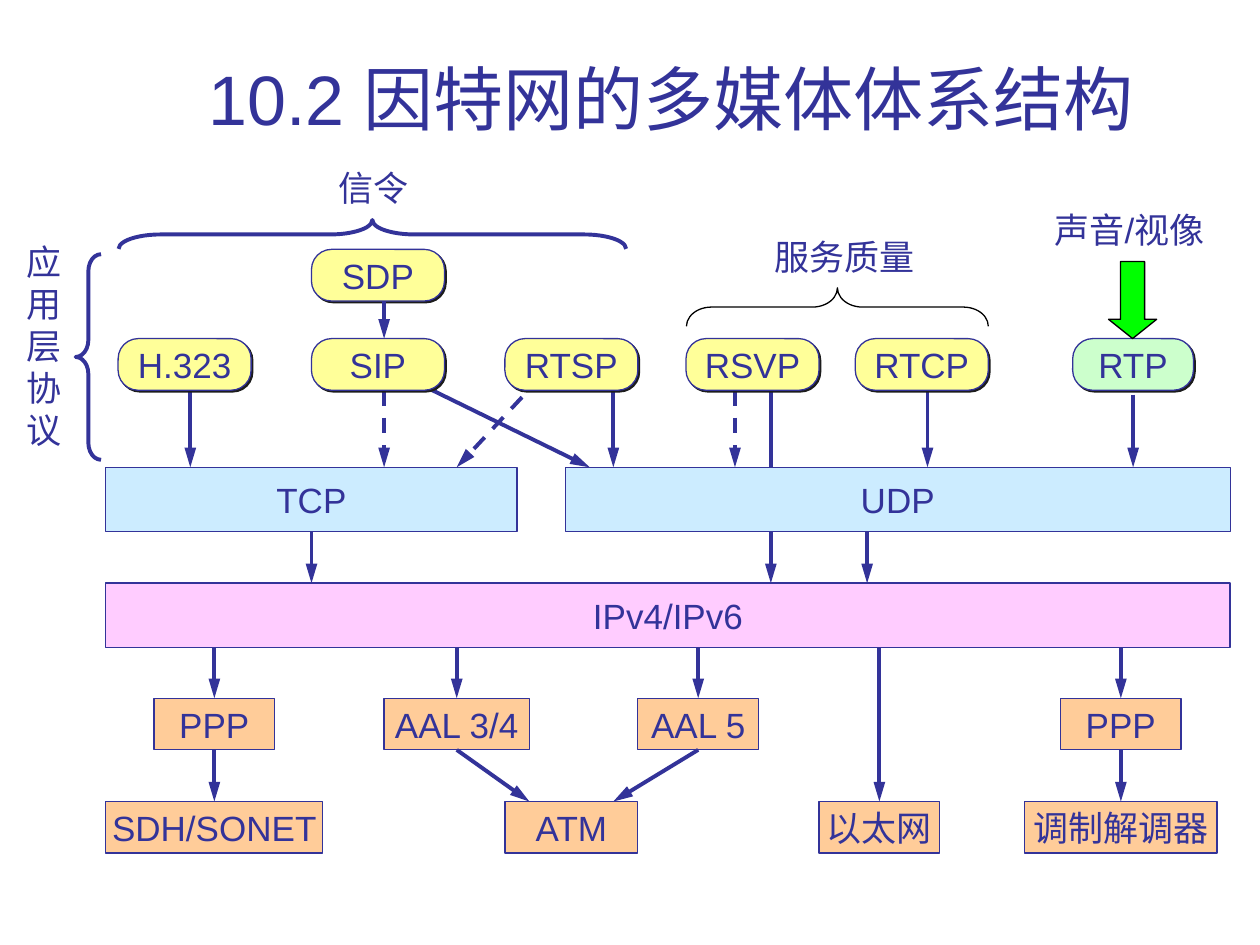
from pptx import Presentation
from pptx.dml.color import RGBColor
from pptx.enum.dml import MSO_LINE
from pptx.enum.shapes import MSO_CONNECTOR, MSO_SHAPE
from pptx.enum.text import MSO_ANCHOR, PP_ALIGN
from pptx.oxml.ns import qn
from pptx.util import Pt
from lxml import etree

RECTANGLE, ROUNDED = MSO_SHAPE.RECTANGLE, MSO_SHAPE.ROUNDED_RECTANGLE
LEFT_BRACE, DOWN_ARROW = MSO_SHAPE.LEFT_BRACE, MSO_SHAPE.DOWN_ARROW
STRAIGHT, DASH = MSO_CONNECTOR.STRAIGHT, MSO_LINE.DASH
LEFT, CENTER = PP_ALIGN.LEFT, PP_ALIGN.CENTER
TOP, MIDDLE, BOTTOM = MSO_ANCHOR.TOP, MSO_ANCHOR.MIDDLE, MSO_ANCHOR.BOTTOM
BOTTOM_SIDE, TOP_SIDE = 2, 0

COLORS = {
    "ink": "333399", "black": "000000", "shadow": "1C1C1C",
    "signalling": "FFFF99", "media": "CCFFCC", "transport": "CCECFF",
    "network": "FFCCFF", "link": "FFCC99", "arrow": "00FF00",
}
RGB = {name: RGBColor.from_string(value) for name, value in COLORS.items()}

presentation = Presentation()
presentation.slide_width, presentation.slide_height = Pt(720), Pt(540)
slide = presentation.slides.add_slide(presentation.slide_layouts[6])
shapes = slide.shapes


def write_text(shape, text, size=20, alignment=CENTER, anchor=MIDDLE, wrap=False):
    frame = shape.text_frame
    frame.text = text
    frame.word_wrap = wrap
    frame.vertical_anchor = anchor
    for paragraph in frame.paragraphs:
        paragraph.alignment = alignment
        for run in paragraph.runs:
            run.font.name = "Arial"
            run.font.size = Pt(size)
            run.font.color.rgb = RGB["ink"]


def add_arrow(start, end, dashed=False, source=None, target=None):
    connector = shapes.add_connector(STRAIGHT, *(Pt(v) for v in (*start, *end)))
    if source is not None:
        connector.begin_connect(source, BOTTOM_SIDE)
    if target is not None:
        connector.end_connect(target, TOP_SIDE)
    connector.line.color.rgb = RGB["ink"]
    connector.line.width = Pt(2.25)
    if dashed:
        connector.line.dash_style = DASH
    line = connector.line._get_or_add_ln()
    etree.SubElement(line, qn("a:tailEnd"), type="triangle", len="lg")
    etree.SubElement(connector._element.spPr, qn("a:effectLst"))


# Top and height of each layer
DESCRIPTION = (142.5, 29.5)
APPLICATION = (193.5, 29.5)
TRANSPORT = (267, 36.75)
NETWORK = (333.25, 36.75)
LINK = (399, 29.5)
PHYSICAL = (458, 29.5)
application_bottom, transport_bottom, network_bottom, link_bottom = (
    top + height for top, height in (APPLICATION, TRANSPORT, NETWORK, LINK))

# Title
title = shapes.add_textbox(Pt(76.5), Pt(22.5), Pt(613.5), Pt(60.5))
write_text(title, "10.2 因特网的多媒体体系结构", 40, anchor=BOTTOM, wrap=True)

# Arrows from the application layer, behind the boxes: start, end, dashed
for start, end, dashed in [
    ((440.5, application_bottom), (440.5, NETWORK[0]), False),
    ((108.75, 215.5), (108.75, TRANSPORT[0]), False),
    ((219.5, application_bottom), (219.5, TRANSPORT[0]), True),
    ((309, 215.5), (261, TRANSPORT[0]), True),
    ((530, application_bottom), (530, TRANSPORT[0]), False),
    ((350.5, application_bottom), (350.5, TRANSPORT[0]), False),
    ((247, application_bottom), (337, TRANSPORT[0]), False),
    ((647.5, 225.5), (647.5, TRANSPORT[0]), False),
    ((420, application_bottom), (420, TRANSPORT[0]), True),
]:
    add_arrow(start, end, dashed)

# Protocol boxes: key, text, layer, left, width, fill
boxes = {}
for key, text, (top, height), left, width, fill in [
    ("tcp", "TCP", TRANSPORT, 60.5, 235, "transport"),
    ("udp", "UDP", TRANSPORT, 323, 380, "transport"),
    ("ip", "IPv4/IPv6", NETWORK, 60.5, 642.5, "network"),
    ("ppp_left", "PPP", LINK, 88, 69, "link"),
    ("aal34", "AAL 3/4", LINK, 219.5, 83, "link"),
    ("aal5", "AAL 5", LINK, 364.5, 69, "link"),
    ("ppp_right", "PPP", LINK, 606, 69, "link"),
    ("sonet", "SDH/SONET", PHYSICAL, 60.5, 124, "link"),
    ("atm", "ATM", PHYSICAL, 288.5, 76, "link"),
    ("ethernet", "以太网", PHYSICAL, 468, 69, "link"),
    ("modem", "调制解调器", PHYSICAL, 585.5, 110, "link"),
    ("h323", "H.323", APPLICATION, 67.5, 76, "signalling"),
    ("sip", "SIP", APPLICATION, 178, 76, "signalling"),
    ("rtsp", "RTSP", APPLICATION, 288.5, 76, "signalling"),
    ("rsvp", "RSVP", APPLICATION, 392, 76, "signalling"),
    ("rtcp", "RTCP", APPLICATION, 488.75, 76, "signalling"),
    ("rtp", "RTP", APPLICATION, 613, 69, "media"),
    ("sdp", "SDP", DESCRIPTION, 178, 76, "signalling"),
]:
    rounded = fill in ("signalling", "media")
    box = shapes.add_shape(ROUNDED if rounded else RECTANGLE,
                           Pt(left), Pt(top), Pt(width), Pt(height))
    box.shadow.inherit = False
    box.fill.solid()
    box.fill.fore_color.rgb = RGB[fill]
    box.line.color.rgb = RGB["ink"]
    box.line.width = Pt(0.75)
    if rounded:
        box.adjustments[0] = 0.39
        effects = box._element.spPr.find(qn("a:effectLst"))
        shadow = etree.SubElement(effects, qn("a:outerShdw"), blurRad="0",
                                  dist=str(Pt(1.4)), dir="2700000", algn="ctr", rotWithShape="0")
        etree.SubElement(shadow, qn("a:srgbClr"), val=COLORS["shadow"])
    write_text(box, text)
    boxes[key] = box

# Arrows between the lower layers: start, end, source box, target box
for start, end, source, target in [
    ((219.5, 172), (219.5, APPLICATION[0]), None, None),
    ((178, transport_bottom), (178, NETWORK[0]), "tcp", None),
    ((495.5, transport_bottom), (495.5, NETWORK[0]), None, None),
    ((122.5, network_bottom), (122.5, LINK[0]), None, "ppp_left"),
    ((261, network_bottom), (261, LINK[0]), None, "aal34"),
    ((399, network_bottom), (399, LINK[0]), None, "aal5"),
    ((640.5, network_bottom), (640.5, LINK[0]), None, "ppp_right"),
    ((502.5, network_bottom), (502.5, PHYSICAL[0]), None, "ethernet"),
    ((122.5, link_bottom), (122.5, PHYSICAL[0]), "ppp_left", "sonet"),
    ((261, link_bottom), (302.5, PHYSICAL[0]), "aal34", None),
    ((399, link_bottom), (350.5, PHYSICAL[0]), "aal5", None),
    ((640.5, link_bottom), (640.5, PHYSICAL[0]), "ppp_right", "modem"),
]:
    add_arrow(start, end, source=boxes.get(source), target=boxes.get(target))

# Braces: centre, depth, span, curve, rotation, line colour and width
for center_x, center_y, depth, span, curve, rotation, color, weight in [
    (50.5, 204, 14.5, 117.5, 0.67, 0, "ink", 2.25),
    (212.75, 134, 16.5, 290, 1.46, 90, "ink", 2.25),
    (478.5, 175.5, 22, 172.5, 0.65, 90, "black", 0.75),
]:
    brace = shapes.add_shape(LEFT_BRACE, Pt(center_x - depth / 2), Pt(center_y - span / 2),
                             Pt(depth), Pt(span))
    brace.rotation = rotation
    brace.adjustments[0] = curve
    brace.shadow.inherit = False
    brace.fill.background()
    brace.line.color.rgb = RGB[color]
    brace.line.width = Pt(weight)

# Group labels, each a little wider than its text
for text, left, top, width, height in [
    ("信令", 186.5, 91.5, 58, 31.5),
    ("服务质量", 435.5, 131, 98, 31.5),
    ("声音/视像", 595.5, 115.5, 113, 31.5),
    ("\n".join("应用层协议"), 8, 134, 36, 127.5),
]:
    label = shapes.add_textbox(Pt(left), Pt(top), Pt(width), Pt(height))
    write_text(label, text, alignment=LEFT, anchor=TOP, wrap=True)

# Block arrow into RTP
media_arrow = shapes.add_shape(DOWN_ARROW, Pt(633.5), Pt(149.5), Pt(27.5), Pt(44))
media_arrow.adjustments[0], media_arrow.adjustments[1] = 0.5, 0.4
media_arrow.shadow.inherit = False
media_arrow.fill.solid()
media_arrow.fill.fore_color.rgb = RGB["arrow"]
media_arrow.line.color.rgb = RGB["black"]
media_arrow.line.width = Pt(0.75)

presentation.save("out.pptx")
